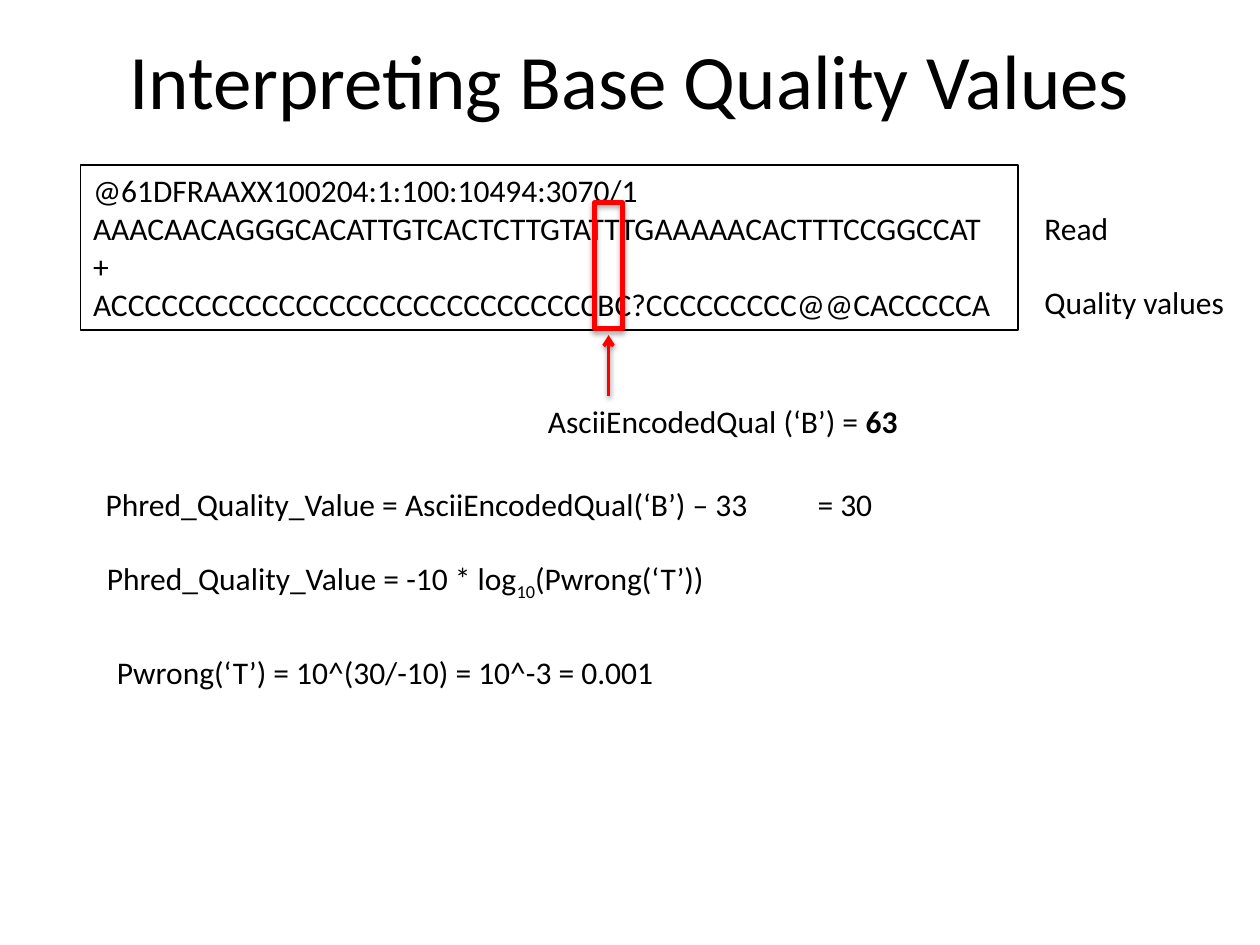
"""Build a slide that explains how base quality values are read."""
from dataclasses import dataclass

from lxml import etree
from pptx import Presentation
from pptx.dml.color import RGBColor
from pptx.enum.shapes import MSO_CONNECTOR, MSO_SHAPE
from pptx.enum.text import MSO_ANCHOR, MSO_AUTO_SIZE, PP_ALIGN
from pptx.oxml.ns import qn
from pptx.util import Inches, Pt

STRAIGHT = MSO_CONNECTOR.STRAIGHT
RECTANGLE = MSO_SHAPE.RECTANGLE
MIDDLE = MSO_ANCHOR.MIDDLE
CENTER = PP_ALIGN.CENTER
GROW = MSO_AUTO_SIZE.SHAPE_TO_FIT_TEXT


@dataclass(frozen=True)
class Theme:
    font: str = "Calibri"
    ink: RGBColor = RGBColor(0, 0, 0)
    accent: RGBColor = RGBColor(255, 0, 0)
    title: Pt = Pt(44)
    body: Pt = Pt(18)


theme = Theme()


def add_text(slide, left, top, width, height, lines, size=theme.body):
    box = slide.shapes.add_textbox(Inches(left), Inches(top), Inches(width), Inches(height))
    frame = box.text_frame
    frame.word_wrap = False
    frame.auto_size = GROW
    for index, pieces in enumerate(lines):
        paragraph = frame.paragraphs[0] if index == 0 else frame.add_paragraph()
        for text, style in pieces:
            run = paragraph.add_run()
            run.text = text
            run.font.name = theme.font
            run.font.size = size
            run.font.color.rgb = theme.ink
            if style == "bold":
                run.font.bold = True
            elif style == "subscript":
                run.font._element.set("baseline", "-25000")
    return box


def style_marker(shape, width, opacity, distance):
    shape.line.color.rgb = theme.accent
    shape.line.width = Pt(width)
    properties = shape._element.spPr
    effects = etree.SubElement(properties, qn("a:effectLst"))
    shadow = etree.SubElement(
        effects, qn("a:outerShdw"), blurRad=str(Pt(3.1)), dist=str(Pt(distance)),
        dir="5400000", rotWithShape="0")
    color = etree.SubElement(shadow, qn("a:srgbClr"), val=str(theme.ink))
    etree.SubElement(color, qn("a:alpha"), val=str(opacity * 1000))


presentation = Presentation()
presentation.slide_width = Inches(10)
presentation.slide_height = Inches(7.5)
slide = presentation.slides.add_slide(presentation.slide_layouts[6])

title = add_text(slide, 0.5, 0, 9, 1.25, [[("Interpreting Base Quality Values", "")]], theme.title)
title.text_frame.auto_size = MSO_AUTO_SIZE.NONE
title.text_frame.word_wrap = True
title.text_frame.vertical_anchor = MIDDLE
title.text_frame.paragraphs[0].alignment = CENTER

record_lines = [
    "@61DFRAAXX100204:1:100:10494:3070/1",
    "AAACAACAGGGCACATTGTCACTCTTGTATTTGAAAAACACTTTCCGGCCAT",
    "+",
    "ACCCCCCCCCCCCCCCCCCCCCCCCCCCCCBC?CCCCCCCCC@@CACCCCCA",
]
record = add_text(slide, 0.64, 1.31, 7.44, 1.31, [[(line, "")] for line in record_lines])
record.line.color.rgb = theme.ink
record.line.width = Pt(0.75)

labels = [
    (8.19, 1.61, 0.72, [("Read", "")]),
    (8.19, 2.2, 1.65, [("Quality values", "")]),
    (0.74, 3.8, 5.37, [("Phred_Quality_Value = AsciiEncodedQual(‘B’) – 33", "")]),
    (6.39, 3.8, 0.64, [("= 30", "")]),
    (0.75, 4.39, 5.1, [("Phred_Quality_Value = -10 * log", ""), ("10", "subscript"),
                       ("(Pwrong(‘T’))", "")]),
    (0.83, 5.13, 4.49, [("Pwrong(‘T’) = 10^(30/-10) = 10^-3 = 0.001", "")]),
    (4.25, 3.14, 3.01, [("AsciiEncodedQual (‘B’) = ", ""), ("63", "bold")]),
]
for left, top, width, pieces in labels:
    add_text(slide, left, top, width, 0.4, [pieces])

arrow = slide.shapes.add_connector(STRAIGHT, Inches(4.83), Inches(3.14), Inches(4.83), Inches(2.66))
style_marker(arrow, 2, 38, 1.6)
etree.SubElement(arrow.line._get_or_add_ln(), qn("a:tailEnd"), type="arrow")

highlight = slide.shapes.add_shape(RECTANGLE, Inches(4.72), Inches(1.61), Inches(0.22), Inches(1))
highlight.fill.background()
style_marker(highlight, 3, 35, 1.8)

presentation.save("out.pptx")
